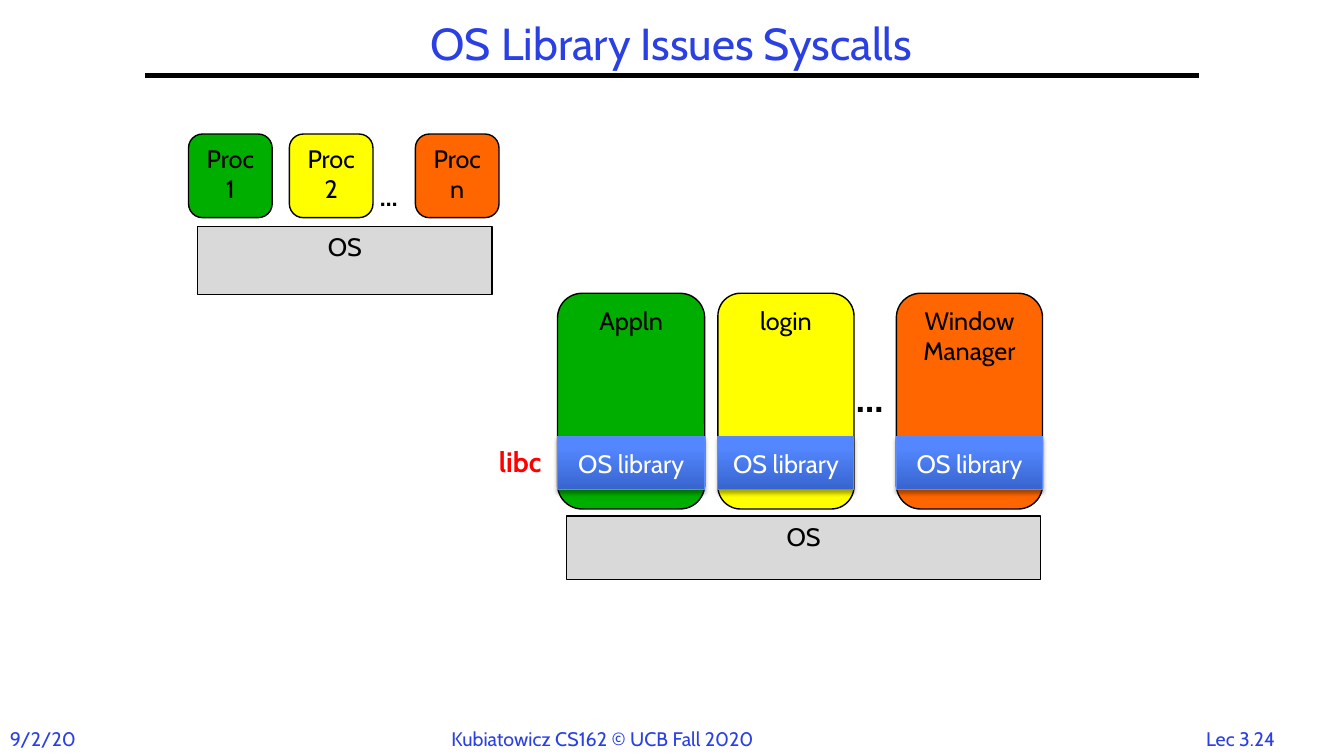
import pptx
import pptx.util
import pptx.dml.color
import pptx.enum.shapes
import pptx.enum.text
import pptx.oxml
import pptx.oxml.ns

PX = 9144
FONT = "Cabin"
BLUE = "2A40E2"
BLACK = "000000"
GREY = "D9D9D9"
GREEN, YELLOW, ORANGE = "00AE00", "FFFF00", "FF6600"
rgb = pptx.dml.color.RGBColor.from_string
Pt = pptx.util.Pt
SHAPE = pptx.enum.shapes.MSO_SHAPE
ALIGN = pptx.enum.text.PP_ALIGN
ANCHOR = pptx.enum.text.MSO_ANCHOR
AUTO = pptx.enum.text.MSO_AUTO_SIZE
NS = pptx.oxml.ns.nsdecls("a")

prs = pptx.Presentation()
prs.slide_width, prs.slide_height = 1333 * PX, 750 * PX
slide = prs.slides.add_slide(prs.slide_layouts[5])
shapes = slide.shapes


def write(sp, text, size, color, align=ALIGN.CENTER, anchor=ANCHOR.TOP, bold=False):
    tf = sp.text_frame
    tf.word_wrap = True
    tf.vertical_anchor = anchor
    p = tf.paragraphs[0]
    p.text = text
    p.alignment = align
    p.font.name = FONT
    p.font.size = Pt(size)
    p.font.bold = bold
    p.font.color.rgb = rgb(color)
    return tf


def box(kind, x, y, w, h, fill, line, width, text, color=BLACK, anchor=ANCHOR.TOP):
    sp = shapes.add_shape(kind, x * PX, y * PX, w * PX, h * PX)
    sp.shadow.inherit = False
    sp.fill.solid()
    sp.fill.fore_color.rgb = rgb(fill)
    sp.line.color.rgb = rgb(line)
    sp.line.width = Pt(width)
    write(sp, text, 18, color, anchor=anchor)
    return sp


title = shapes.title
title.left, title.top, title.width, title.height = 144 * PX, 17 * PX, 1044 * PX, 58 * PX
tf = write(title, "OS Library Issues Syscalls", 32, BLUE, anchor=ANCHOR.MIDDLE)
tf.auto_size = AUTO.NONE
tf.paragraphs[0].line_spacing = 0.9

rule = shapes.add_connector(pptx.enum.shapes.MSO_CONNECTOR.STRAIGHT,
                            144 * PX, 75 * PX, 1189 * PX, 75 * PX)
rule.line.color.rgb = rgb(BLACK)
rule.line.width = Pt(3)
rule._element.spPr.append(pptx.oxml.parse_xml(f"<a:effectLst {NS}/>"))

box(SHAPE.RECTANGLE, 196, 225, 292, 67, GREY, BLACK, 1, "OS")
for x, fill, text in [(187, GREEN, "Proc 1"), (287, YELLOW, "Proc 2"), (412, ORANGE, "Proc n")]:
    box(SHAPE.ROUNDED_RECTANGLE, x, 133, 83, 83, fill, BLACK, 1, text)

box(SHAPE.RECTANGLE, 562, 512, 470, 63, GREY, BLACK, 1, "OS")
programs = [(553, 146, GREEN, "Appln"), (712, 135, YELLOW, "login"),
            (889, 145, ORANGE, "Window Manager")]
for x, w, fill, text in programs:
    box(SHAPE.ROUNDED_RECTANGLE, x, 291, w, 214, fill, BLACK, 1, text)
    library = box(SHAPE.RECTANGLE, x, 433, w, 53, "5487FF", "5B8AFB", 0.75,
                  "OS library", "FFFFFF", ANCHOR.MIDDLE)
    spPr = library._element.spPr
    stops = "".join(f'<a:gs pos="{pos}000"><a:srgbClr val="{color}"/></a:gs>'
                    for pos, color in [(0, "3764CE"), (80, "5487FF"), (100, "5688FF")])
    gradient = pptx.oxml.parse_xml(
        f'<a:gradFill {NS} rotWithShape="1"><a:gsLst>{stops}</a:gsLst>'
        '<a:lin ang="16200000" scaled="0"/></a:gradFill>')
    spPr.replace(spPr.find(pptx.oxml.ns.qn("a:solidFill")), gradient)
    spPr.find(pptx.oxml.ns.qn("a:effectLst")).append(pptx.oxml.parse_xml(
        f'<a:outerShdw {NS} blurRad="{Pt(3.1)}" dist="{Pt(1.8)}" dir="5400000" rotWithShape="0">'
        f'<a:srgbClr val="{BLACK}"><a:alpha val="35000"/></a:srgbClr></a:outerShdw>'))

labels = [
    (367, 175, 45, 40, "…", 18, BLACK, ALIGN.LEFT, True, False),
    (839, 365, 65, 57, "…", 28, BLACK, ALIGN.LEFT, True, True),
    (479, 436, 68, 44, "libc", 20, "FF0000", ALIGN.RIGHT, True, False),
    (0, 716, 100, 34, "9/2/20", 14, BLUE, ALIGN.LEFT, False, True),
    (438, 716, 343, 34, "Kubiatowicz CS162 © UCB Fall 2020", 14, BLUE, ALIGN.LEFT, False, False),
    (1182, 716, 97, 34, "Lec 3.24", 14, BLUE, ALIGN.CENTER, False, False),
]
for x, y, w, h, text, size, color, align, bold, wrap in labels:
    sp = shapes.add_textbox(x * PX, y * PX, w * PX, h * PX)
    tf = write(sp, text, size, color, align, bold=bold)
    tf.word_wrap = wrap
    tf.auto_size = AUTO.SHAPE_TO_FIT_TEXT

prs.save("out.pptx")
